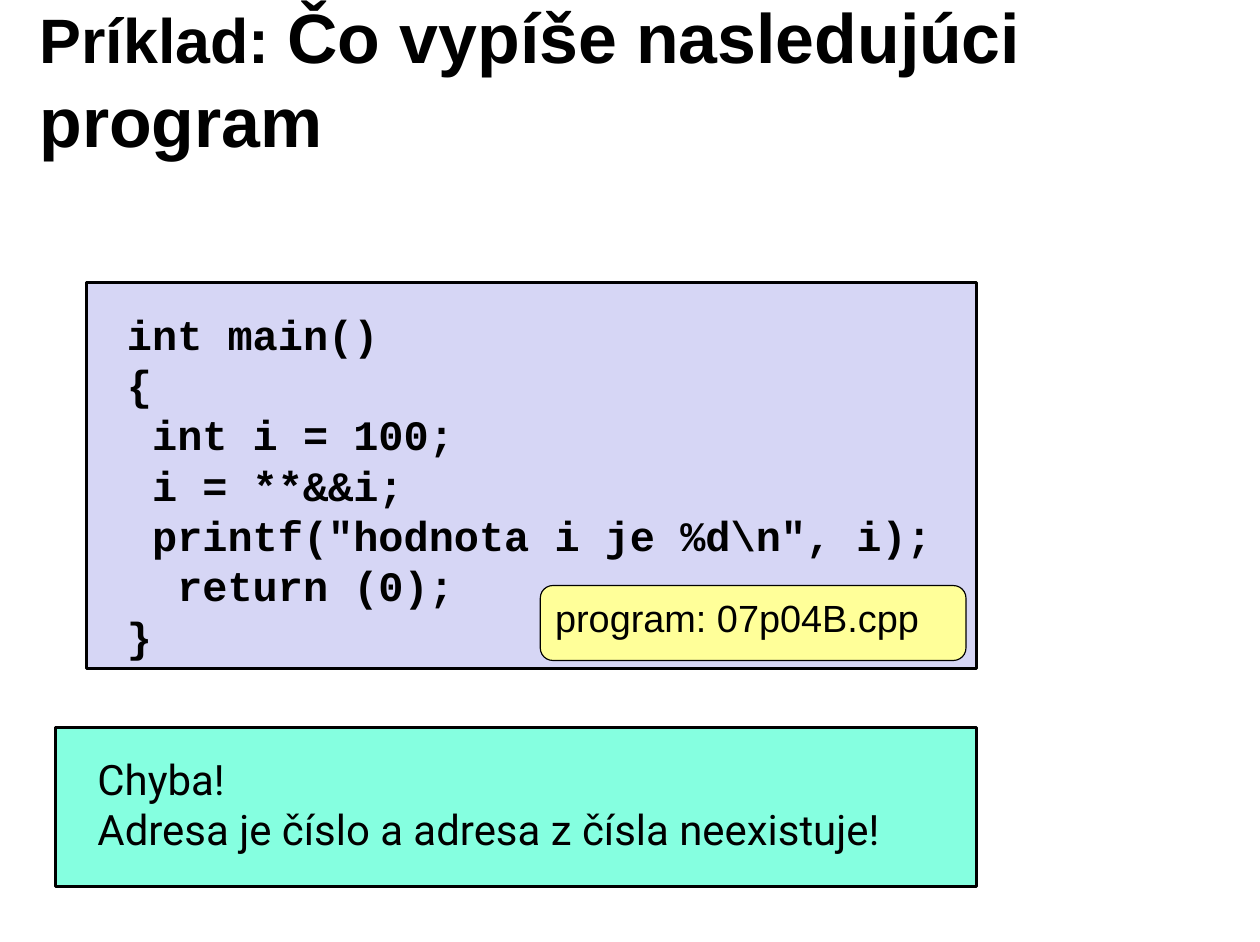
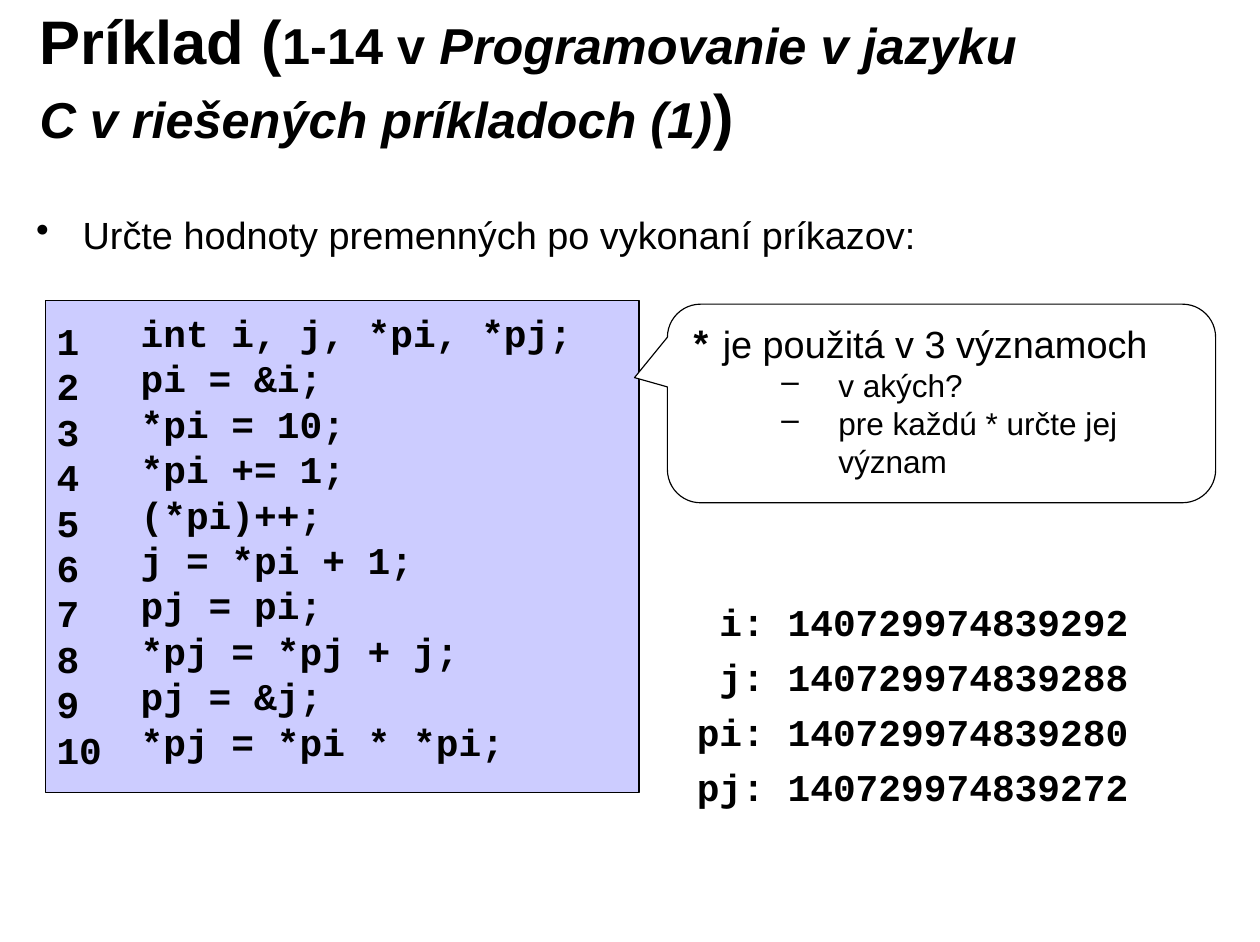
from dataclasses import dataclass
from typing import Any, Optional

import lxml.etree
import pptx
import pptx.dml.color
import pptx.enum.shapes
import pptx.enum.text
import pptx.oxml.ns
import pptx.util

SLIDE_WIDTH, SLIDE_HEIGHT = 11.1, 8.3
COLUMNS, ROWS = 111, 83
LINE_HEIGHT = 1.2
BLACK, WHITE = "000000", "FFFFFF"
LAVENDER, PERIWINKLE, MINT, YELLOW = "D6D6F5", "CCCCFF", "85FFE0", "FFFF99"
SANS, CODE, ANSWER = "Arial", "Courier New", "Roboto"
SHAPES = pptx.enum.shapes.MSO_SHAPE
TOP = pptx.enum.text.MSO_ANCHOR.TOP
MIDDLE = pptx.enum.text.MSO_ANCHOR.MIDDLE


@dataclass(frozen=True)
class Area:
    column: float
    row: float
    columns: float
    rows: float


@dataclass(frozen=True)
class Run:
    text: str
    size: float
    font: str = SANS
    bold: bool = False
    italic: bool = False


@dataclass(frozen=True)
class Line:
    runs: tuple[Run, ...]
    bullet: str = ""
    margin: float = 0
    hanging: float = 0
    after: float = 0
    level: int = 0


@dataclass(frozen=True)
class Panel:
    area: Area
    fill: str
    border: float = 0.75
    kind: Any = SHAPES.RECTANGLE
    adjustments: tuple[float, ...] = ()
    lines: tuple[Line, ...] = ()
    insets: tuple[float, float] = (0.1, 0.05)


TITLE_AREA = Area(2.5, 1.7, 89.1, 10.2)


def color(value: str) -> pptx.dml.color.RGBColor:
    return pptx.dml.color.RGBColor.from_string(value)


def place(area: Area) -> tuple[int, ...]:
    across, down = SLIDE_WIDTH / COLUMNS, SLIDE_HEIGHT / ROWS
    lengths = (area.column * across, area.row * down,
               area.columns * across, area.rows * down)
    return tuple(pptx.util.Inches(length) for length in lengths)


def plain_lines(text: str, size: float, font: str, bold: bool = True,
                after: float = 0) -> tuple[Line, ...]:
    return tuple(Line((Run(row, size, font, bold),), after=after)
                 for row in text.split("\n"))


def add_bullet(paragraph: Any, line: Line) -> None:
    properties = paragraph._p.get_or_add_pPr()
    properties.set("marL", str(pptx.util.Inches(line.margin)))
    properties.set("indent", str(-pptx.util.Inches(line.hanging)))
    bullet = lxml.etree.SubElement(properties, pptx.oxml.ns.qn("a:buChar"))
    bullet.set("char", line.bullet)


def write(shape: Any, lines: tuple[Line, ...], anchor: Any = TOP,
          insets: tuple[float, float] = (0.1, 0.05)) -> None:
    frame = shape.text_frame
    frame.word_wrap = True
    frame.vertical_anchor = anchor
    frame.margin_left = frame.margin_right = pptx.util.Inches(insets[0])
    frame.margin_top = frame.margin_bottom = pptx.util.Inches(insets[1])
    for index, line in enumerate(lines):
        paragraph = frame.add_paragraph() if index else frame.paragraphs[0]
        if line.bullet:
            add_bullet(paragraph, line)
        paragraph.level = line.level
        paragraph.alignment = pptx.enum.text.PP_ALIGN.LEFT
        largest = max(run.size for run in line.runs)
        paragraph.line_spacing = pptx.util.Pt(round(LINE_HEIGHT * largest, 1))
        paragraph.space_after = pptx.util.Pt(line.after)
        for item in line.runs:
            run = paragraph.add_run()
            run.text = item.text
            run.font.name = item.font
            run.font.size = pptx.util.Pt(item.size)
            run.font.bold = item.bold
            run.font.italic = item.italic
            run.font.color.rgb = color(BLACK)


def add_text(slide: Any, area: Area, lines: tuple[Line, ...],
             anchor: Any = TOP) -> None:
    write(slide.shapes.add_textbox(*place(area)), lines, anchor)


def add_title(slide: Any, *runs: Run) -> None:
    add_text(slide, TITLE_AREA, (Line(runs),), MIDDLE)


def add_panel(slide: Any, panel: Panel) -> None:
    shape = slide.shapes.add_shape(panel.kind, *place(panel.area))
    shape.shadow.inherit = False
    shape.fill.solid()
    shape.fill.fore_color.rgb = color(panel.fill)
    shape.line.color.rgb = color(BLACK)
    shape.line.width = pptx.util.Pt(panel.border)
    for index, value in enumerate(panel.adjustments):
        shape.adjustments[index] = value
    if panel.lines:
        write(shape, panel.lines, insets=panel.insets)


def build_error_slide(slide: Any) -> None:
    add_title(slide, Run("Príklad: ", 39.8, bold=True),
              Run("Čo vypíše nasledujúci program", 44.3, bold=True))
    program = r"""int main()
{
 int i = 100;
 i = **&&i;
 printf("hodnota i je %d\n", i);
  return (0);
}"""
    answer = "Chyba!\nAdresa je číslo a adresa z čísla neexistuje!"
    add_panel(slide, Panel(Area(7.6, 24.9, 78.4, 34), LAVENDER, 2))
    add_text(slide, Area(10.2, 26.7, 74.1, 32.3),
             plain_lines(program, 26.6, CODE))
    add_panel(slide, Panel(Area(4.9, 64.1, 81.1, 14), MINT, 2))
    add_text(slide, Area(7.6, 65.9, 71.5, 14.4),
             plain_lines(answer, 26.6, ANSWER, bold=False))
    add_panel(slide, Panel(
        Area(47.6, 51.6, 37.5, 6.6), YELLOW,
        kind=SHAPES.ROUNDED_RECTANGLE, adjustments=(0.167,),
        lines=plain_lines("program: 07p04B.cpp", 24, SANS, bold=False)))


def build_pointer_slide(slide: Any) -> None:
    add_panel(slide, Panel(Area(4, 26.5, 52.3, 43.3), PERIWINKLE))
    add_title(slide, Run("Príklad (", 39, bold=True),
              Run("1-14 v ", 32, bold=True),
              Run("Programovanie v jazyku C v riešených príkladoch (1)",
                  32, bold=True, italic=True),
              Run(")", 39, bold=True))
    task = Run("Určte hodnoty premenných po vykonaní príkazov:", 24)
    add_text(slide, Area(2.2, 18.2, 106.6, 5.7),
             (Line((task,), "•", 0.41, 0.41),))
    program = """int i, j, *pi, *pj;
pi = &i;
*pi = 10;
*pi += 1;
(*pi)++;
j = *pi + 1;
pj = pi;
*pj = *pj + j;
pj = &j;
*pj = *pi * *pi;"""
    addresses = """ i: 140729974839292
 j: 140729974839288
pi: 140729974839280
pj: 140729974839272"""
    line_count = len(program.split("\n"))
    numbers = "\n".join(str(number + 1) for number in range(line_count))
    add_text(slide, Area(11.4, 26.8, 42.5, 41.4),
             plain_lines(program, 24, CODE))
    add_text(slide, Area(60.4, 52.3, 42.6, 19.7),
             plain_lines(addresses, 24, CODE, after=6))
    add_text(slide, Area(4, 27.5, 6.7, 41.4), plain_lines(numbers, 24, CODE))
    heading = Line((Run("*", 24, CODE, True),
                    Run(" je použitá v 3 významoch", 24)))
    questions = tuple(Line((Run(text, 20),), "–", 1.31, 0.5, level=1)
                      for text in ("v akých?", "pre každú * určte jej význam"))
    add_panel(slide, Panel(
        Area(58.8, 26.8, 48.3, 17.5), WHITE,
        kind=SHAPES.ROUNDED_RECTANGULAR_CALLOUT,
        adjustments=(-0.56, -0.13, 0.167),
        lines=(heading, *questions), insets=(0.11, 0.06)))


def main() -> None:
    presentation = pptx.Presentation()
    presentation.slide_width = pptx.util.Inches(SLIDE_WIDTH)
    presentation.slide_height = pptx.util.Inches(SLIDE_HEIGHT)
    blank: Optional[Any] = presentation.slide_layouts.get_by_name("Blank")
    for build in (build_error_slide, build_pointer_slide):
        build(presentation.slides.add_slide(blank))
    presentation.save("out.pptx")


if __name__ == "__main__":
    main()
